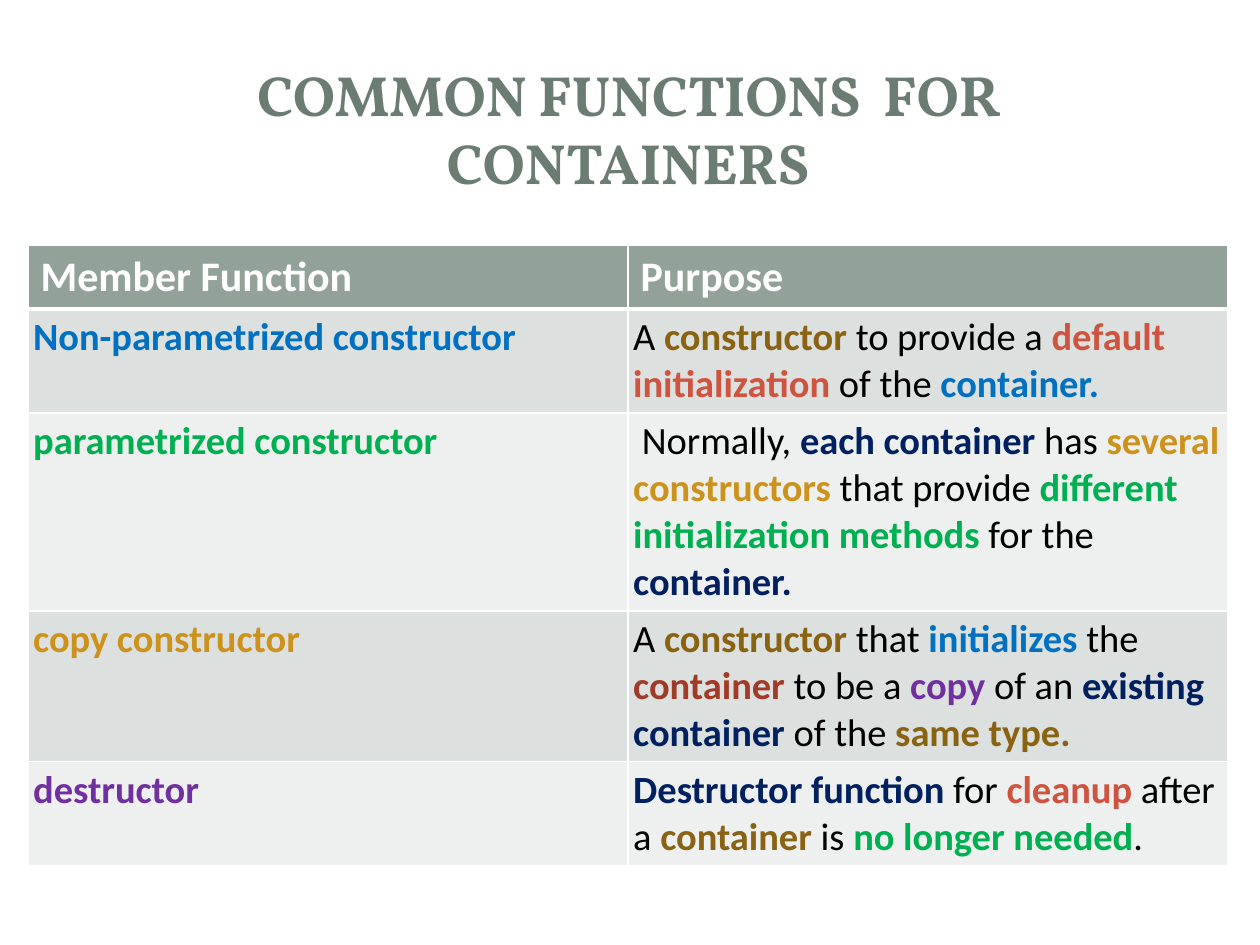
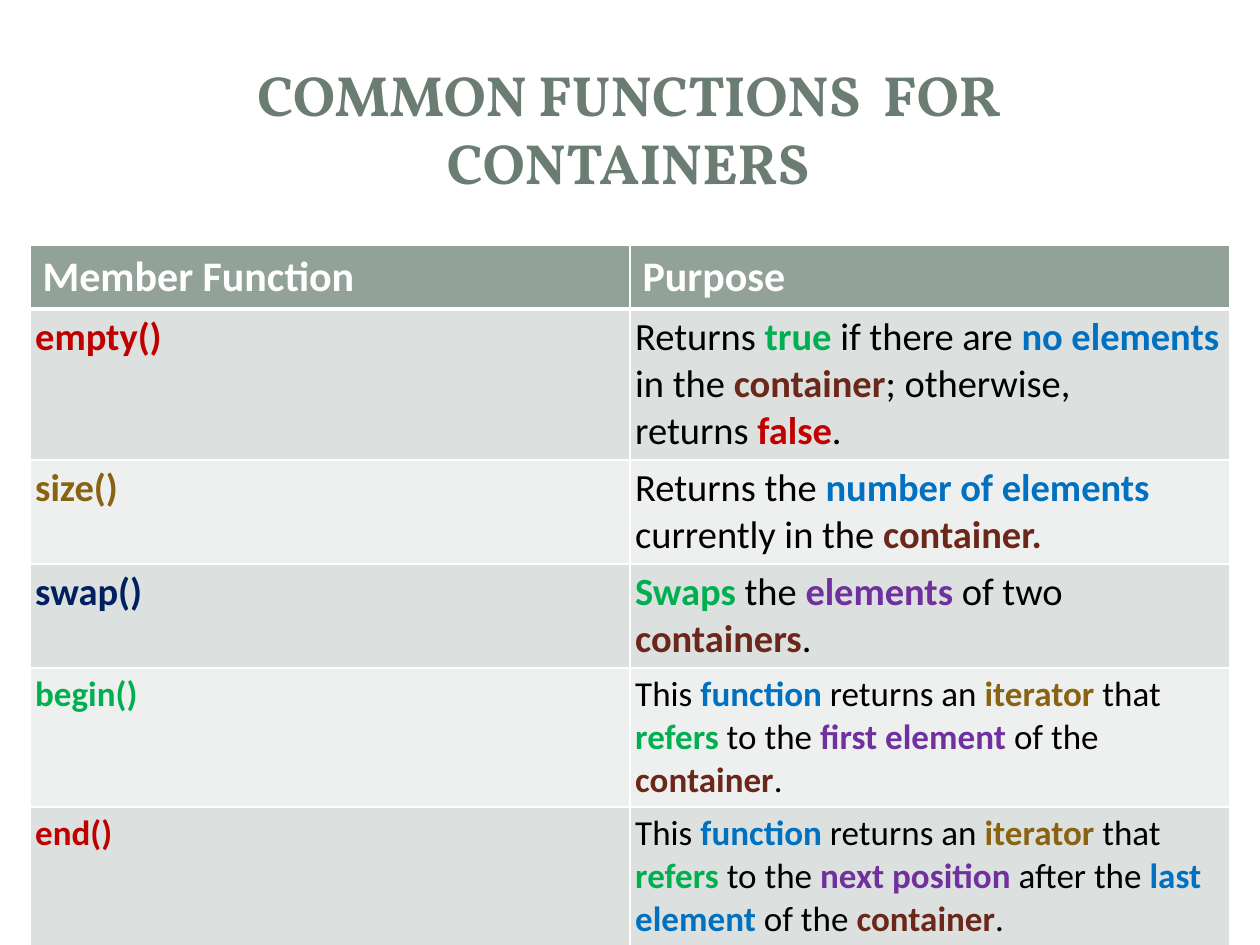
from dataclasses import dataclass, field

from lxml.etree import SubElement
from pptx import Presentation
from pptx.dml.color import RGBColor
from pptx.enum.shapes import MSO_SHAPE
from pptx.enum.text import MSO_ANCHOR, MSO_AUTO_SIZE, PP_ALIGN
from pptx.oxml.ns import qn
from pptx.util import Pt

PX = 914400 / 126
TITLE_ONLY = 5
NBSP = chr(160)


@dataclass(frozen=True)
class Theme:
    title_font: str = "Vollkorn"
    body_font: str = "Calibri"
    title_size: float = 32.4
    header_size: int = 24
    body_size: int = 22
    small_size: int = 20
    rule: int = 1
    header_rule: int = 3
    cell_margin: int = 3
    band_alpha: int = 83
    colours: dict = field(default_factory=lambda: {
        "white": "FFFFFF", "black": "000000", "sage": "6B7D72",
        "header": "93A299", "odd": "DCE0DE", "even": "EEF0EF",
        "blue": "0070C0", "green": "00B050", "navy": "002060",
        "purple": "7030A0", "red": "C00000", "brown": "896212",
        "gold": "CD921B", "coral": "CF543F", "rust": "A23A28",
        "maroon": "6C271B",
    })


THEME = Theme()
TITLE = "COMMON FUNCTIONS  FOR CONTAINERS"
HEADINGS = ("Member Function", "Purpose")
TITLE_BOX = (59, 56, 1138, 144)
PANELS = [
    (MSO_SHAPE.ROUNDED_RECTANGLE, (13, 14, 1235, 919), 100),
    (MSO_SHAPE.RECTANGLE, (38, 38, 1184, 183), THEME.band_alpha),
    (MSO_SHAPE.RECTANGLE, (52, 52, 1155, 154), 100),
]

LIFECYCLE = [
    (81, THEME.body_size, "[blue:Non-parametrized constructor]",
     "A [brown:constructor] to provide a [coral:default initialization] of the "
     "[blue:container.]"),
    (116, THEME.body_size, "[green:parametrized constructor]",
     " Normally, [navy:each container ]has [gold:several constructors] that provide "
     "[green:different initialization methods] for the [navy:container.]"),
    (116, THEME.body_size, "[gold:copy constructor]",
     "A [brown:constructor ]that [blue:initializes ]the [rust:container] to be a "
     "[purple:copy] of an [navy:existing container ]of the [brown:same type.]"),
    (81, THEME.body_size, "[purple:destructor]",
     "[navy:Destructor function ]for [coral:cleanup] after a [brown:container] is "
     "[green:no longer needed]."),
]

QUERIES = [
    (81, THEME.body_size, "[red:empty()]",
     f"Returns{NBSP}[green:true]{NBSP}if there are [blue:no elements ]in the "
     f"[maroon:container]; otherwise, returns{NBSP}[red:false]."),
    (81, THEME.body_size, "[brown:size()]",
     "Returns the [blue:number of elements ]currently in the [maroon:container.]"),
    (59, THEME.body_size, "[navy:swap()]",
     "[green:Swaps] the [purple:elements] of two [maroon:containers]."),
    (59, THEME.small_size, "[green:begin()]",
     f"This [blue:function] returns an{NBSP}[brown:iterator ]that [green:refers] "
     "to the [purple:first element ]of the [maroon:container]."),
    (59, THEME.small_size, "[red:end()]",
     f"This [blue:function] returns an{NBSP}[brown:iterator]{NBSP}that "
     "[green:refers ]to the [purple:next position] after the [blue:last element ]"
     "of the [maroon:container]."),
]


def px(value):
    return round(value * PX)


def rgb(name):
    return RGBColor.from_string(THEME.colours[name])


def apply(target, formats):
    for name, value in formats.items():
        setattr(target, name, value)


def paint(fill, colour):
    fill.solid()
    fill.fore_color.rgb = rgb(colour)


def add_run(p, text, colour, size, bold, font=THEME.body_font):
    r = p.add_run()
    r.text = text
    apply(r.font, {"name": font, "size": Pt(size), "bold": bold})
    r.font.color.rgb = rgb(colour)


def add_marked_text(p, text, size):
    first, *chunks = text.split("[")
    parts = [("black", first)]
    for chunk in chunks:
        marked, _, plain = chunk.partition("]")
        colour, _, words = marked.partition(":")
        parts += [(colour, words), ("black", plain)]
    for colour, words in parts:
        if words:
            add_run(p, words, colour, size, colour != "black")


def set_borders(cell, top, bottom):
    tc_pr = cell._tc.get_or_add_tcPr()
    widths = {"L": THEME.rule, "R": THEME.rule, "T": top, "B": bottom}
    for side, width in widths.items():
        ln = SubElement(tc_pr, qn(f"a:ln{side}"), w=str(Pt(width)))
        fill = SubElement(ln, qn("a:solidFill"))
        SubElement(fill, qn("a:srgbClr"), val=THEME.colours["white"])


def add_master_panels(prs, s):
    tree = prs.slide_master.shapes._spTree
    for i, (kind, box, alpha) in enumerate(PANELS):
        sp = s.shapes.add_shape(kind, *map(px, box))
        sp.shadow.inherit = False
        sp.line.fill.background()
        paint(sp.fill, "white")
        if kind == MSO_SHAPE.ROUNDED_RECTANGLE:
            sp.adjustments[0] = 0.017
        if alpha < 100:
            clr = sp._element.spPr.find(f".//{qn('a:srgbClr')}")
            SubElement(clr, qn("a:alpha"), val=str(alpha * 1000))
        sp._element.nvSpPr.cNvPr.set("id", str(101 + i))
        tree.insert(2 + i, sp._element)


def add_title(s, box):
    sp = s.shapes.title
    apply(sp, dict(zip(("left", "top", "width", "height"), map(px, box))))
    tf = sp.text_frame
    apply(tf, {"word_wrap": True, "auto_size": MSO_AUTO_SIZE.NONE,
               "vertical_anchor": MSO_ANCHOR.MIDDLE})
    p = tf.paragraphs[0]
    p.alignment = PP_ALIGN.CENTER
    add_run(p, TITLE, "sage", THEME.title_size, True, THEME.title_font)


def add_function_table(s, box, functions):
    sp = s.shapes.add_table(len(functions) + 1, len(HEADINGS), *map(px, box))
    table = sp.table
    table.rows[0].height = px(59)
    for cell, heading in zip(table.rows[0].cells, HEADINGS):
        set_borders(cell, THEME.rule, THEME.header_rule)
        paint(cell.fill, "header")
        add_run(cell.text_frame.paragraphs[0], heading, "white",
                THEME.header_size, True)
    margins = dict.fromkeys(
        ("margin_left", "margin_top", "margin_right", "margin_bottom"),
        Pt(THEME.cell_margin))
    for i, (height, size, *texts) in enumerate(functions, 1):
        table.rows[i].height = px(height)
        for cell, text in zip(table.rows[i].cells, texts):
            apply(cell, margins)
            set_borders(cell, THEME.header_rule if i == 1 else THEME.rule, THEME.rule)
            paint(cell.fill, "odd" if i % 2 else "even")
            add_marked_text(cell.text_frame.paragraphs[0], text, size)
    sp.height = px(box[3])


def add_function_slide(prs, table_box, functions):
    s = prs.slides.add_slide(prs.slide_layouts[TITLE_ONLY])
    paint(s.background.fill, "white")
    add_title(s, TITLE_BOX)
    add_function_table(s, table_box, functions)
    return s


def main():
    prs = Presentation()
    apply(prs, {"slide_width": px(1260), "slide_height": px(945)})
    s = add_function_slide(prs, (28, 245, 1200, 614), LIFECYCLE)
    add_function_slide(prs, (30, 245, 1200, 690), QUERIES)
    add_master_panels(prs, s)
    prs.save("out.pptx")


if __name__ == "__main__":
    main()
